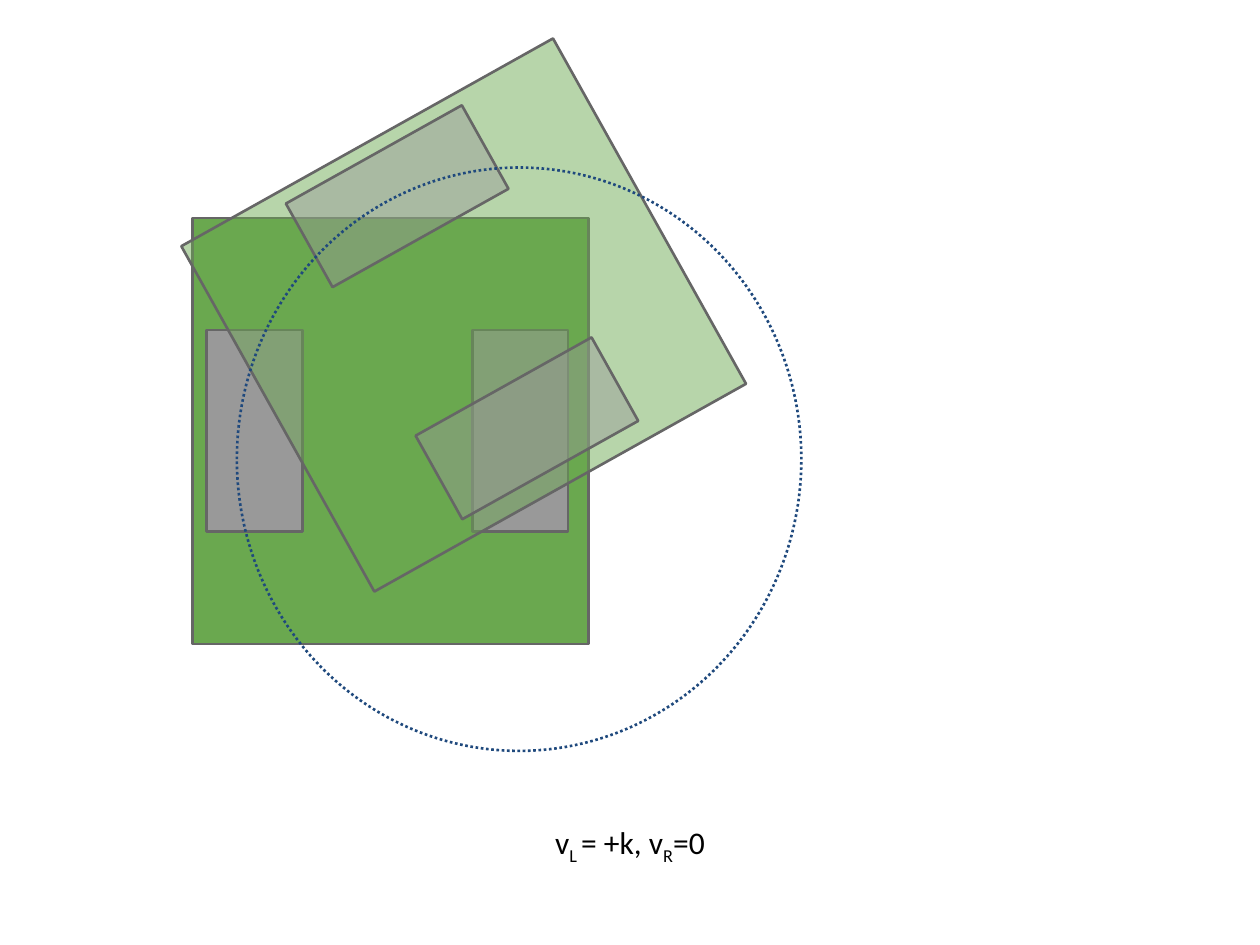
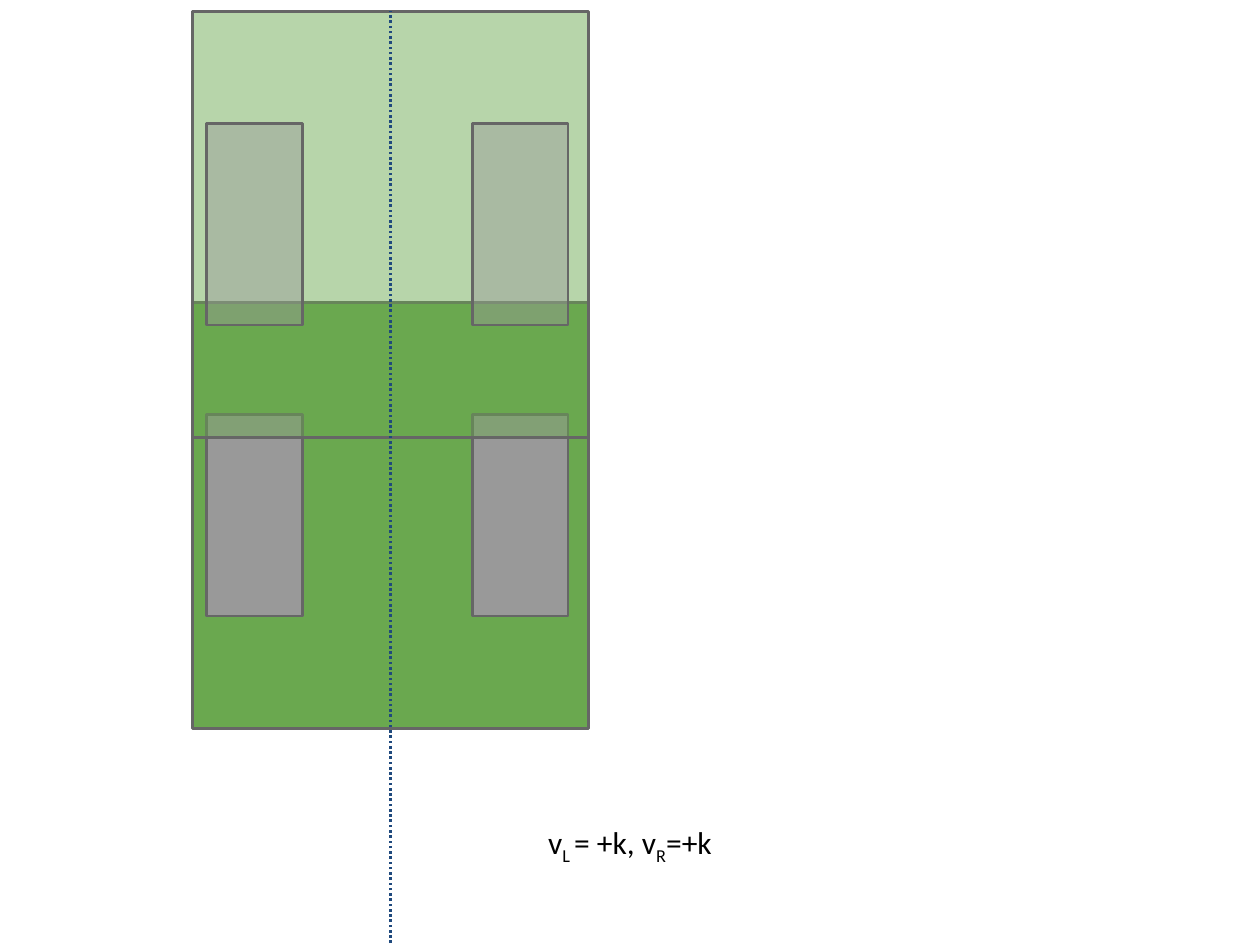
from dataclasses import dataclass
from math import cos, radians, sin

from pptx import Presentation
from pptx.dml.color import RGBColor
from pptx.enum import dml, shapes, text
from pptx.oxml import xmlchemy as xml
from pptx.oxml.ns import qn
from pptx.util import Inches, Pt

GREEN = RGBColor(0x6A, 0xA8, 0x4F)
GREY = RGBColor(0x99, 0x99, 0x99)
EDGE = RGBColor(0x66, 0x66, 0x66)
NAVY = RGBColor(0x1F, 0x49, 0x7D)
BLACK = RGBColor(0, 0, 0)

FONT = "Calibri"
BODY = (3.38, 3.14)    # length, width
WHEEL = (1.6, 0.76)
AXLE = (-1.08, 1.03)   # left and right wheel, from the body centre
AHEAD = 270            # rotation of a car that points up
HANG = 0.38


@dataclass
class Car:
    x: float
    y: float
    turn: float = 0    # degrees clockwise from straight ahead
    ghost: bool = False


def sub(parent, tag: str, **attrs: str):
    """Append an XML child with the given attributes."""
    node = parent.makeelement(qn(tag), attrs)
    parent.append(node)
    return node


def rect(group, x: float, y: float, size: tuple, turn: float,
         fill: RGBColor, alpha: int) -> None:
    """Draw a turned rectangle around its centre."""
    w, h = size
    box = group.shapes.add_shape(
        shapes.MSO_SHAPE.RECTANGLE, Inches(x - w / 2), Inches(y - h / 2),
        Inches(w), Inches(h))
    box.rotation = AHEAD + turn
    box.shadow.inherit = False
    box.fill.solid()
    box.fill.fore_color.rgb = fill
    if alpha < 100:
        tint = box.fill._xPr.find(qn("a:solidFill"))[0]
        sub(tint, "a:alpha", val=str(alpha * 1000))
    box.line.color.rgb = EDGE
    box.line.width = Pt(1.5)


def draw_car(slide, car: Car) -> None:
    """Draw the body and both wheels as one group."""
    group = slide.shapes.add_group_shape()
    rect(group, car.x, car.y, BODY, car.turn, GREEN, 48 if car.ghost else 100)
    angle = radians(car.turn)
    for off in AXLE:
        rect(group, car.x + off * cos(angle), car.y + off * sin(angle),
             WHEEL, car.turn, GREY, 44 if car.ghost else 100)


def dotted(line) -> None:
    """Give a path its dotted line."""
    line.color.rgb = NAVY
    line.width = Pt(1.5)
    line.dash_style = dml.MSO_LINE.ROUND_DOT


def add_run(para, words: str, *, size: float = 18, color: RGBColor = BLACK,
            base: int = 0) -> None:
    run = para.add_run()
    run.text = words
    run.font.name = FONT
    run.font.size = Pt(size)
    run.font.color.rgb = color
    if base:
        run.font._element.set("baseline", str(base * 1000))


def caption(slide, right: str) -> None:
    """Write the wheel speeds under the drawing."""
    box = slide.shapes.add_textbox(
        Inches(0.5), Inches(6.43), Inches(9), Inches(0.76))
    frame = box.text_frame
    frame.word_wrap = True
    frame.vertical_anchor = text.MSO_ANCHOR.TOP
    frame.margin_left = frame.margin_right = Inches(0.1)
    frame.margin_top = frame.margin_bottom = Inches(0.1)
    para = frame.paragraphs[0]
    para.alignment = text.PP_ALIGN.CENTER
    props = para._p.get_or_add_pPr()
    props.set("marL", str(Inches(HANG)))
    props.set("indent", str(Inches(-HANG)))
    for words, base in (("v", 0), ("L ", -25), ("= +k, v", 0),
                        ("R", -25), ("=" + right, 0)):
        add_run(para, words, base=base)


def scene(deck, car: Car, right: str, ghost: Car):
    """Add a slide with a car, its caption and its later place."""
    slide = deck.slides.add_slide(deck.slide_layouts[6])
    draw_car(slide, car)
    caption(slide, right)
    draw_car(slide, ghost)
    return slide


deck = Presentation()
deck.slide_width, deck.slide_height = Inches(10), Inches(7.5)

# Slide 1: right wheel stopped, the car turns on a circle
slide = scene(deck, Car(3.1, 3.42), "0", Car(3.68, 2.5, 60.8, True))
ring = slide.shapes.add_shape(
    shapes.MSO_SHAPE.OVAL, Inches(1.88), Inches(1.33),
    Inches(4.48), Inches(4.63))
ring.shadow.inherit = False
ring.fill.background()
dotted(ring.line)

# Slide 2: equal speeds, the car drives straight on
slide = scene(deck, Car(3.1, 4.09), "+k", Car(3.1, 1.78, ghost=True))
track = slide.shapes.add_connector(
    shapes.MSO_CONNECTOR.STRAIGHT, Inches(3.1), Inches(7.61),
    Inches(3.1), Inches(0.09))
dotted(track.line)
sub(track._element.spPr, "a:effectLst")

deck.save("out.pptx")
